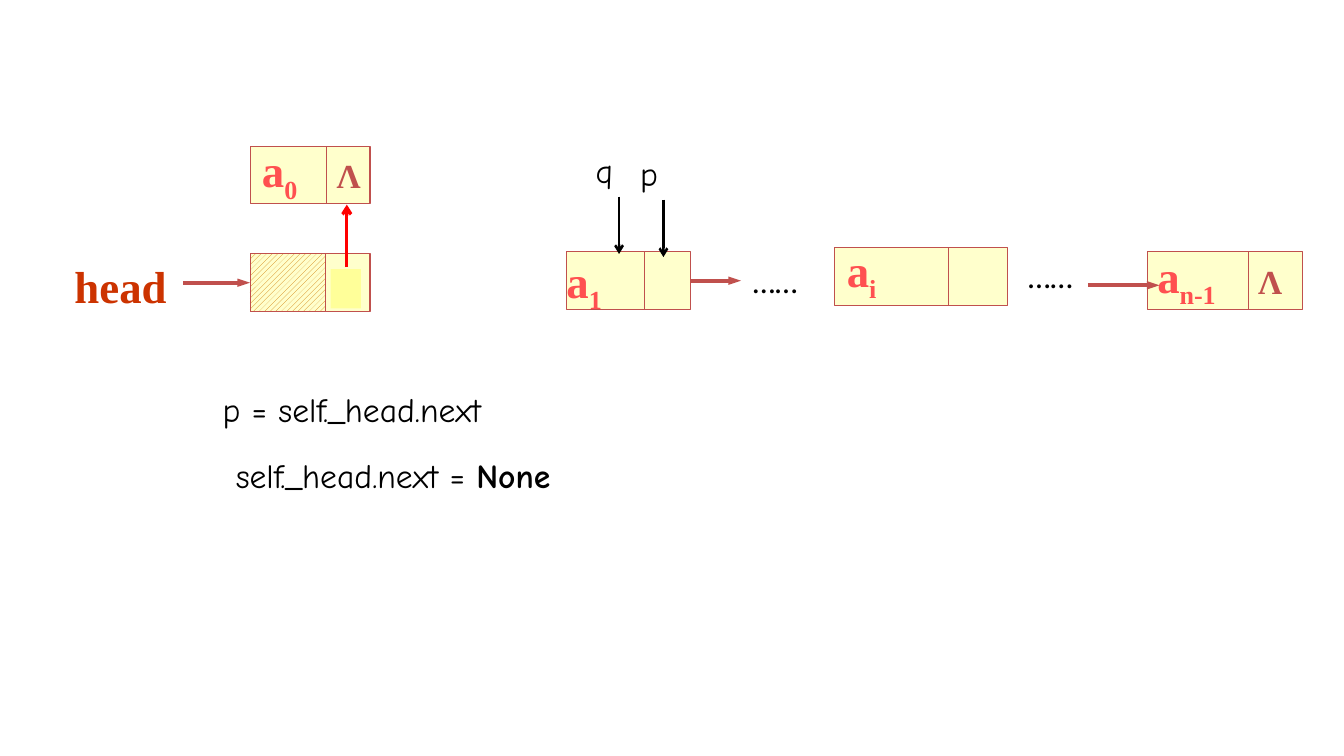
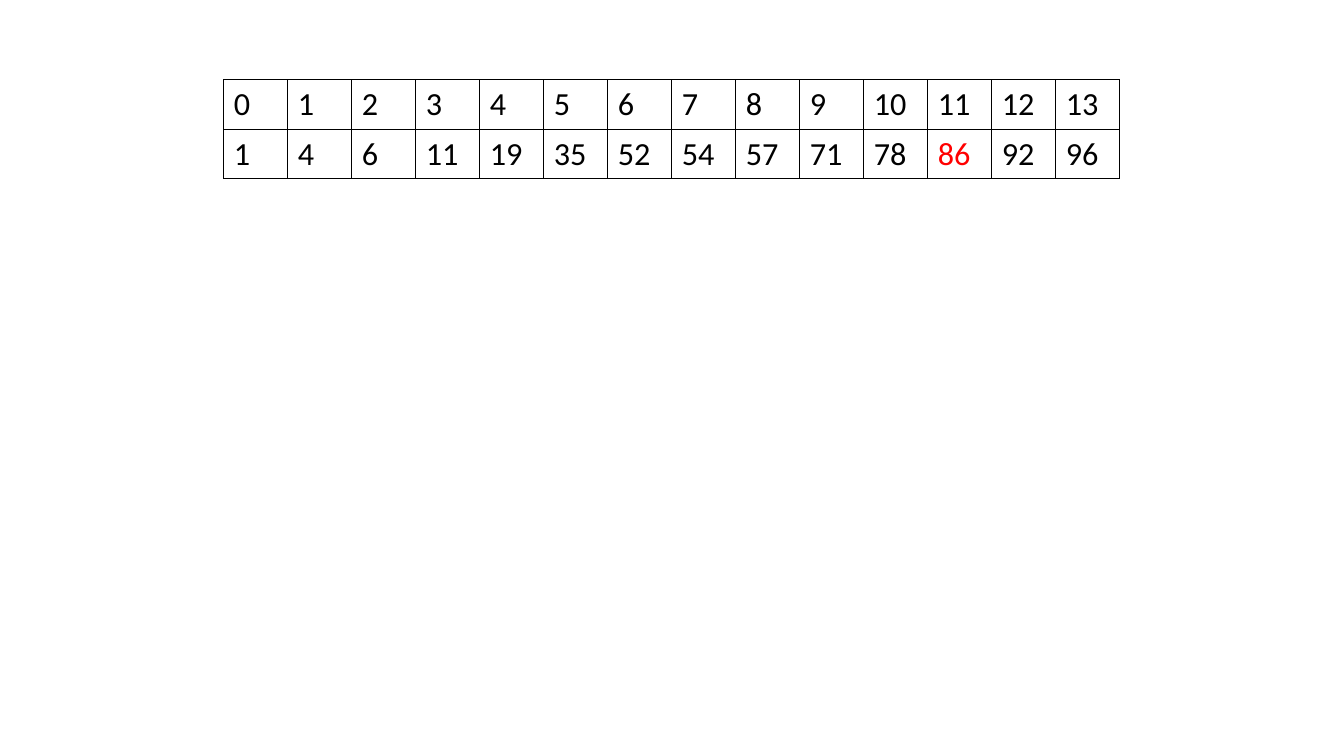
from dataclasses import dataclass
from typing import NamedTuple, Optional

from lxml.etree import SubElement
from pptx import Presentation
from pptx.dml.color import RGBColor
from pptx.enum.dml import MSO_PATTERN
from pptx.enum.shapes import MSO_CONNECTOR, MSO_SHAPE
from pptx.enum.text import MSO_AUTO_SIZE
from pptx.oxml.ns import qn
from pptx.shapes.autoshape import Shape
from pptx.shapes.connector import Connector
from pptx.slide import Slide
from pptx.table import _Cell
from pptx.util import Inches, Pt

# Shared colours and fonts
BLACK = RGBColor(0x00, 0x00, 0x00)
RED = RGBColor(0xFF, 0x00, 0x00)
BRICK = RGBColor(0xC0, 0x50, 0x4D)
CORAL = RGBColor(0xFF, 0x50, 0x50)
RUST = RGBColor(0xCC, 0x33, 0x00)
OCHRE = RGBColor(0xD0, 0x7E, 0x06)
CREAM = RGBColor(0xFF, 0xFF, 0xCC)
YELLOW = RGBColor(0xFF, 0xFF, 0x99)

SERIF = "Times New Roman"
HAND = "Comic Neue"
SANS = "Calibri"

NODE_HEIGHT = 0.57
POINTER_LENGTH = 0.57


class Style(NamedTuple):
    font: str
    size: float
    color: RGBColor
    bold: bool = False


ELEMENT = Style(SERIF, 32, CORAL, True)
NIL = Style(SERIF, 24, BRICK, True)
HEAD = Style(SERIF, 32, RUST, True)
CODE = Style(HAND, 24, BLACK)
KEYWORD = Style(HAND, 24, BLACK, True)
PLAIN = Style(SANS, 23, BLACK)
FOUND = Style(SANS, 23, RED)


class Span(NamedTuple):
    text: str
    style: Style
    subscript: bool = False


class Caption(NamedTuple):
    left: float
    top: float
    width: float
    height: float
    spans: list[Span]


@dataclass(frozen=True)
class Node:
    """A list node: data cell, divider and link cell."""
    left: float
    top: float
    width: float
    data_width: float
    index: str = ""
    label_left: float = 0
    label_top: float = 0
    label_width: float = 0.58
    nil: bool = False

    @property
    def divider(self) -> float:
        return self.left + self.data_width

    @property
    def right(self) -> float:
        return self.left + self.width

    @property
    def middle(self) -> float:
        return self.top + NODE_HEIGHT / 2


HEAD_NODE = Node(2.48, 2.52, 1.19, 0.75)
NODE_ZERO = Node(2.48, 1.45, 1.19, 0.76, "0", 2.5, 1.37, nil=True)
NODE_ONE = Node(5.62, 2.5, 1.23, 0.77, "1", 5.52, 2.47)
NODE_I = Node(8.28, 2.46, 1.71, 1.13, "i", 8.3, 2.36, 0.51)
NODE_LAST = Node(11.38, 2.5, 1.54, 1, "n-1", 11.38, 2.42, 1.26, True)

CAPTIONS = [
    Caption(0.64, 2.52, 1.12, 0.64, [Span("head", HEAD)]),
    Caption(7.37, 2.54, 1.17, 0.49, [Span("……", PLAIN)]),
    Caption(10.1, 2.49, 1.17, 0.49, [Span("……", PLAIN)]),
    Caption(2.11, 3.81, 3.21, 0.5, [Span("p = self._head.next", CODE)]),
    Caption(2.24, 4.46, 3.94, 0.5,
            [Span("self._head.next = ", CODE), Span("None", KEYWORD)]),
]


class Pointer(NamedTuple):
    name: str
    x: float
    top: float


POINTERS = [Pointer("q", 6.14, 1.95), Pointer("p", 6.58, 1.98)]

VALUES = [1, 4, 6, 11, 19, 35, 52, 54, 57, 71, 78, 86, 92, 96]
FOUND_INDEX = 11


def add_span(para, span: Span) -> None:
    run = para.add_run()
    run.text = span.text
    run.font.name = span.style.font
    run.font.size = Pt(span.style.size)
    run.font.bold = span.style.bold
    run.font.color.rgb = span.style.color
    if span.subscript:
        run._r.get_or_add_rPr().set("baseline", "-25000")


def add_caption(page: Slide, caption: Caption) -> None:
    box = page.shapes.add_textbox(
        Inches(caption.left), Inches(caption.top),
        Inches(caption.width), Inches(caption.height))
    frame = box.text_frame
    frame.word_wrap = False
    frame.auto_size = MSO_AUTO_SIZE.SHAPE_TO_FIT_TEXT
    for span in caption.spans:
        add_span(frame.paragraphs[0], span)


def add_rectangle(page: Slide, left: float, top: float, width: float,
                  height: float, fill: RGBColor,
                  outline: Optional[RGBColor] = BRICK) -> Shape:
    box = page.shapes.add_shape(
        MSO_SHAPE.RECTANGLE, Inches(left), Inches(top),
        Inches(width), Inches(height))
    box.shadow.inherit = False
    box.fill.solid()
    box.fill.fore_color.rgb = fill
    if outline is None:
        box.line.fill.background()
    else:
        box.line.color.rgb = outline
        box.line.width = Pt(0.75)
    return box


def add_line(page: Slide, start: tuple[float, float],
             end: tuple[float, float], color: RGBColor = BRICK,
             weight: float = 0.75, arrowhead: str = "",
             head_width: str = "med") -> Connector:
    line = page.shapes.add_connector(
        MSO_CONNECTOR.STRAIGHT, Inches(start[0]), Inches(start[1]),
        Inches(end[0]), Inches(end[1]))
    line.line.color.rgb = color
    line.line.width = Pt(weight)
    if arrowhead:
        SubElement(line.line._get_or_add_ln(), qn("a:tailEnd"),
                   type=arrowhead, w=head_width, len="med")
    SubElement(line._element.spPr, qn("a:effectLst"))
    return line


def add_link(page: Slide, left: float, right: float, y: float) -> Connector:
    return add_line(page, (left, y), (right, y), BRICK, 3, "triangle", "sm")


def add_node(page: Slide, node: Node) -> Shape:
    box = add_rectangle(page, node.left, node.top, node.width, NODE_HEIGHT,
                        CREAM)
    add_line(page, (node.divider, node.top),
             (node.divider, node.top + NODE_HEIGHT))
    if node.index:
        add_caption(page, Caption(
            node.label_left, node.label_top, node.label_width, 0.64,
            [Span("a", ELEMENT), Span(node.index, ELEMENT, True)]))
    if node.nil:
        add_caption(page, Caption(node.divider, node.top + 0.04, 0.44, 0.51,
                                  [Span("Λ", NIL)]))
    return box


def add_pointer(page: Slide, pointer: Pointer) -> None:
    add_caption(page, Caption(pointer.x - 0.33, pointer.top - 0.51, 0.38, 0.51,
                              [Span(pointer.name, CODE)]))
    add_line(page, (pointer.x, pointer.top),
             (pointer.x, pointer.top + POINTER_LENGTH), BLACK, 1.75, "arrow")


def build_linked_list(page: Slide) -> None:
    # Head node with hatched data cell and highlighted link cell
    head_box = add_node(page, HEAD_NODE)
    hatch = add_rectangle(page, HEAD_NODE.left, HEAD_NODE.top,
                          HEAD_NODE.data_width, NODE_HEIGHT, CREAM)
    hatch.fill.patterned()
    hatch.fill.pattern = MSO_PATTERN.WIDE_UPWARD_DIAGONAL
    hatch.fill.fore_color.rgb = OCHRE
    hatch.fill.back_color.rgb = CREAM
    add_rectangle(page, 3.28, 2.67, 0.3, 0.39, YELLOW, None)

    # Remaining nodes
    add_node(page, NODE_ZERO)
    one_box = add_node(page, NODE_ONE)
    add_node(page, NODE_I)
    add_node(page, NODE_LAST)

    # Links between nodes
    head_link = add_link(page, 1.82, HEAD_NODE.left, HEAD_NODE.middle)
    head_link.end_connect(head_box, 1)
    next_link = add_link(page, NODE_ONE.right, 7.35, NODE_ONE.middle)
    next_link.begin_connect(one_box, 3)
    add_link(page, 10.79, 11.5, 2.83)
    add_line(page, (3.44, 2.65), (3.44, 2.03), RED, 2.25, "arrow")

    # Pointers, captions and code
    for pointer in POINTERS:
        add_pointer(page, pointer)
    for caption in CAPTIONS:
        add_caption(page, caption)


def set_borders(cell: _Cell) -> None:
    properties = cell._tc.get_or_add_tcPr()
    for position, side in enumerate(("lnL", "lnR", "lnT", "lnB")):
        border = SubElement(properties, qn(f"a:{side}"), w=str(Pt(1)))
        fill = SubElement(border, qn("a:solidFill"))
        SubElement(fill, qn("a:srgbClr"), val=str(BLACK))
        properties.insert(position, border)


def build_search_table(page: Slide) -> None:
    rows = [range(len(VALUES)), VALUES]
    table = page.shapes.add_table(
        len(rows), len(VALUES), Inches(2.22), Inches(0.79),
        Inches(8.89), Inches(0.98)).table
    table.first_row = False
    table.horz_banding = False
    for row_number, numbers in enumerate(rows):
        for column, number in enumerate(numbers):
            cell = table.cell(row_number, column)
            cell.fill.background()
            set_borders(cell)
            found = row_number == 1 and column == FOUND_INDEX
            add_span(cell.text_frame.paragraphs[0],
                     Span(str(number), FOUND if found else PLAIN))


def main() -> None:
    deck = Presentation()
    deck.slide_width = Inches(13.33)
    deck.slide_height = Inches(7.5)
    for build in (build_linked_list, build_search_table):
        build(deck.slides.add_slide(deck.slide_layouts[6]))
    deck.save("out.pptx")


if __name__ == "__main__":
    main()
